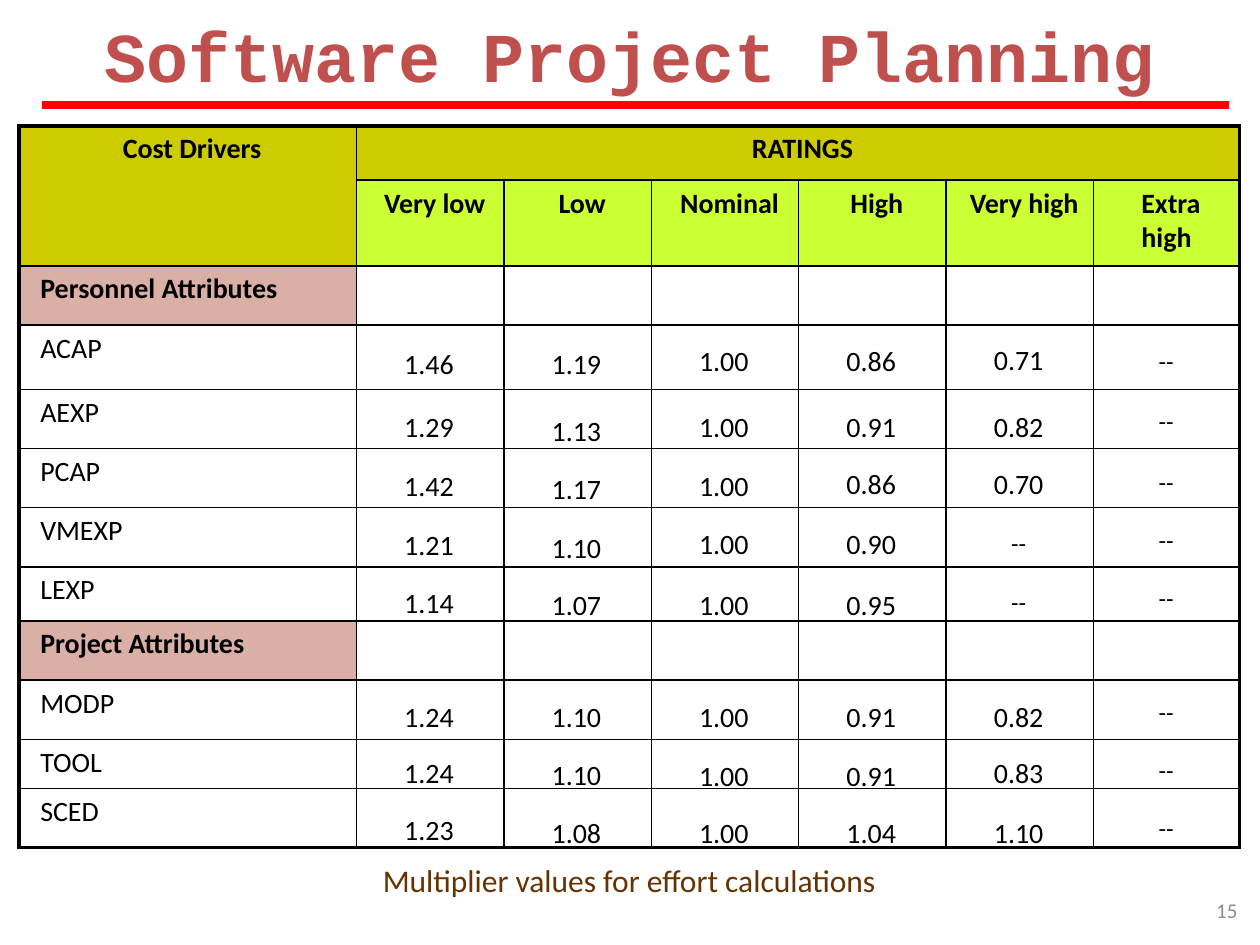
"""Build a slide tabulating effort multipliers by cost driver and rating."""
from lxml.etree import SubElement
from pptx import Presentation
from pptx.dml.color import RGBColor
from pptx.enum.shapes import MSO_CONNECTOR as Connector
from pptx.enum.text import MSO_ANCHOR as Anchor, PP_ALIGN as Align
from pptx.oxml.ns import qn
from pptx.util import Inches, Pt

WHITE = RGBColor(0xFF, 0xFF, 0xFF)
BLACK = RGBColor(0, 0, 0)
RED = RGBColor(0xFF, 0, 0)
BRICK = RGBColor(0xC0, 0x50, 0x4D)
BROWN = RGBColor(0x66, 0x33, 0x00)
GRAY = RGBColor(0x8C, 0x8C, 0x8C)
OLIVE = RGBColor(0xCC, 0xCC, 0x00)
LIME = RGBColor(0xCC, 0xFF, 0x33)
ROSE = RGBColor(0xDA, 0xAF, 0xA6)

TITLE = "Software Project Planning"
CAPTION = "Multiplier values for effort calculations"
PAGE_NUMBER = "15"
RATINGS = ["Very low", "Low", "Nominal", "High", "Very high", "Extra high"]
DRIVERS = [
    ("Personnel Attributes", [], []),
    ("ACAP", ["1.46", "1.19", "1.00", "0.86", "0.71", "--"],
     [2.75, 2.75, 2.73, 2.73, 2.72, 2.75]),
    ("AEXP", ["1.29", "1.13", "1.00", "0.91", "0.82", "--"],
     [3.25, 3.28, 3.25, 3.25, 3.25, 3.22]),
    ("PCAP", ["1.42", "1.17", "1.00", "0.86", "0.70", "--"],
     [3.72, 3.74, 3.72, 3.7, 3.7, 3.71]),
    ("VMEXP", ["1.21", "1.10", "1.00", "0.90", "--", "--"],
     [4.19, 4.21, 4.18, 4.18, 4.19, 4.17]),
    ("LEXP", ["1.14", "1.07", "1.00", "0.95", "--", "--"],
     [4.65, 4.66, 4.66, 4.66, 4.66, 4.63]),
    ("Project Attributes", [], []),
    ("MODP", ["1.24", "1.10", "1.00", "0.91", "0.82", "--"],
     [5.55, 5.55, 5.55, 5.55, 5.55, 5.53]),
    ("TOOL", ["1.24", "1.10", "1.00", "0.91", "0.83", "--"],
     [6, 6.01, 6.02, 6.02, 6, 5.99]),
    ("SCED", ["1.23", "1.08", "1.00", "1.04", "1.10", "--"],
     [6.45, 6.47, 6.47, 6.47, 6.47, 6.45]),
]
COLUMN_WIDTHS = [2.68] + [1.17] * 5 + [1.16]
ROW_HEIGHTS = [0.43, 0.68, 0.47, 0.51, 0.47, 0.47, 0.47, 0.43, 0.47, 0.47, 0.39, 0.47]
TABLE_LEFT, TABLE_TOP = 0.15, 1
VALUE_LEFT, VALUE_PITCH = 2.99, 1.17
THIN, THICK = Pt(1), Pt(2.25)


def add_span(para, text, size, color, bold=False, font="Calibri"):
    span = para.add_run()
    span.text = text
    span.font.size = Pt(size)
    span.font.name = font
    span.font.bold = bold
    span.font.color.rgb = color


def add_text(page, text, place, size, color, align=Align.CENTER, before=0,
             inset=True, anchor=Anchor.TOP, **style):
    box = page.shapes.add_textbox(*map(Inches, place))
    frame = box.text_frame
    frame.word_wrap = True
    frame.vertical_anchor = anchor
    if not inset:
        frame.margin_left = frame.margin_right = 0
        frame.margin_top = frame.margin_bottom = 0
    para = frame.paragraphs[0]
    para.alignment = align
    if before:
        spacing = SubElement(para._p.get_or_add_pPr(), qn("a:spcBef"))
        SubElement(spacing, qn("a:spcPct"), val=str(before * 1000))
    add_span(para, text, size, color, **style)


def set_borders(cell, widths):
    properties = cell._tc.get_or_add_tcPr()
    for side, width in zip("LRTB", widths):
        line = SubElement(properties, qn(f"a:ln{side}"), w=str(width))
        fill = SubElement(line, qn("a:solidFill"))
        SubElement(fill, qn("a:srgbClr"), val=str(BLACK))


def fill_cell(cell, text, color, bold, align):
    if color is None:
        cell.fill.background()
    else:
        cell.fill.solid()
        cell.fill.fore_color.rgb = color
    para = cell.text_frame.paragraphs[0]
    if not text:
        SubElement(para._p, qn("a:endParaRPr"), sz="1600")
        return
    para.alignment = align
    para.space_before = Pt(7)
    para._p.get_or_add_pPr().set("indent", str(Inches(0.07)))
    add_span(para, text, 16, BLACK, bold)


def add_ratings_table(page):
    rows, columns = len(ROW_HEIGHTS), len(COLUMN_WIDTHS)
    frame = page.shapes.add_table(
        rows, columns, Inches(TABLE_LEFT), Inches(TABLE_TOP),
        Inches(sum(COLUMN_WIDTHS)), Inches(sum(ROW_HEIGHTS)))
    table = frame.table
    table.first_row = table.horz_banding = False
    for column, width in zip(table.columns, COLUMN_WIDTHS):
        column.width = Inches(width)
    for row, height in zip(table.rows, ROW_HEIGHTS):
        row.height = Inches(height)
    table.cell(0, 0).merge(table.cell(1, 0))
    table.cell(0, 1).merge(table.cell(0, columns - 1))

    contents = {(0, 0): ("Cost Drivers", OLIVE, True, Align.CENTER),
                (0, 1): ("RATINGS", OLIVE, True, Align.CENTER)}
    for c, rating in enumerate(RATINGS, 1):
        contents[1, c] = (rating, LIME, True, Align.CENTER)
    for r, (driver, values, _) in enumerate(DRIVERS, 2):
        heading = not values
        contents[r, 0] = (driver, ROSE if heading else None, heading, Align.LEFT)

    for r in range(rows):
        for c in range(columns):
            cell = table.cell(r, c)
            right = c + (cell.span_width if cell.is_merge_origin else 1)
            edges = (c == 0, right == columns, r == 0, r == rows - 1)
            set_borders(cell, [THICK if edge else THIN for edge in edges])
            fill_cell(cell, *contents.get((r, c), ("", None, False, Align.LEFT)))


def add_values(page):
    for _, values, tops in DRIVERS:
        for i, (value, top) in enumerate(zip(values, tops)):
            place = (VALUE_LEFT + i * VALUE_PITCH, top, 0.83, 0.13)
            add_text(page, value, place, 14 if value == "--" else 16, BLACK,
                     before=20, inset=False)


def add_rule(page):
    rule = page.shapes.add_connector(
        Connector.STRAIGHT, Inches(0.33), Inches(0.83), Inches(9.75), Inches(0.83))
    rule.line.color.rgb = RED
    rule.line.width = Pt(4.5)
    SubElement(rule._element.spPr, qn("a:effectLst"))


def main():
    deck = Presentation()
    deck.slide_width, deck.slide_height = Inches(10), Inches(7.5)
    page = deck.slides.add_slide(deck.slide_layouts[6])
    page.background.fill.solid()
    page.background.fill.fore_color.rgb = WHITE
    add_text(page, PAGE_NUMBER, (9.42, 7.02, 0.5, 0.4), 12, GRAY,
             align=Align.RIGHT, anchor=Anchor.MIDDLE)
    add_rule(page)
    add_text(page, TITLE, (0.33, 0.05, 9.33, 0.77), 40, BRICK,
             before=50, bold=True, font="Courier New")
    add_ratings_table(page)
    add_values(page)
    add_text(page, CAPTION, (2.08, 6.83, 5.83, 0.3), 18, BROWN,
             before=50, inset=False)
    deck.save("out.pptx")


if __name__ == "__main__":
    main()
